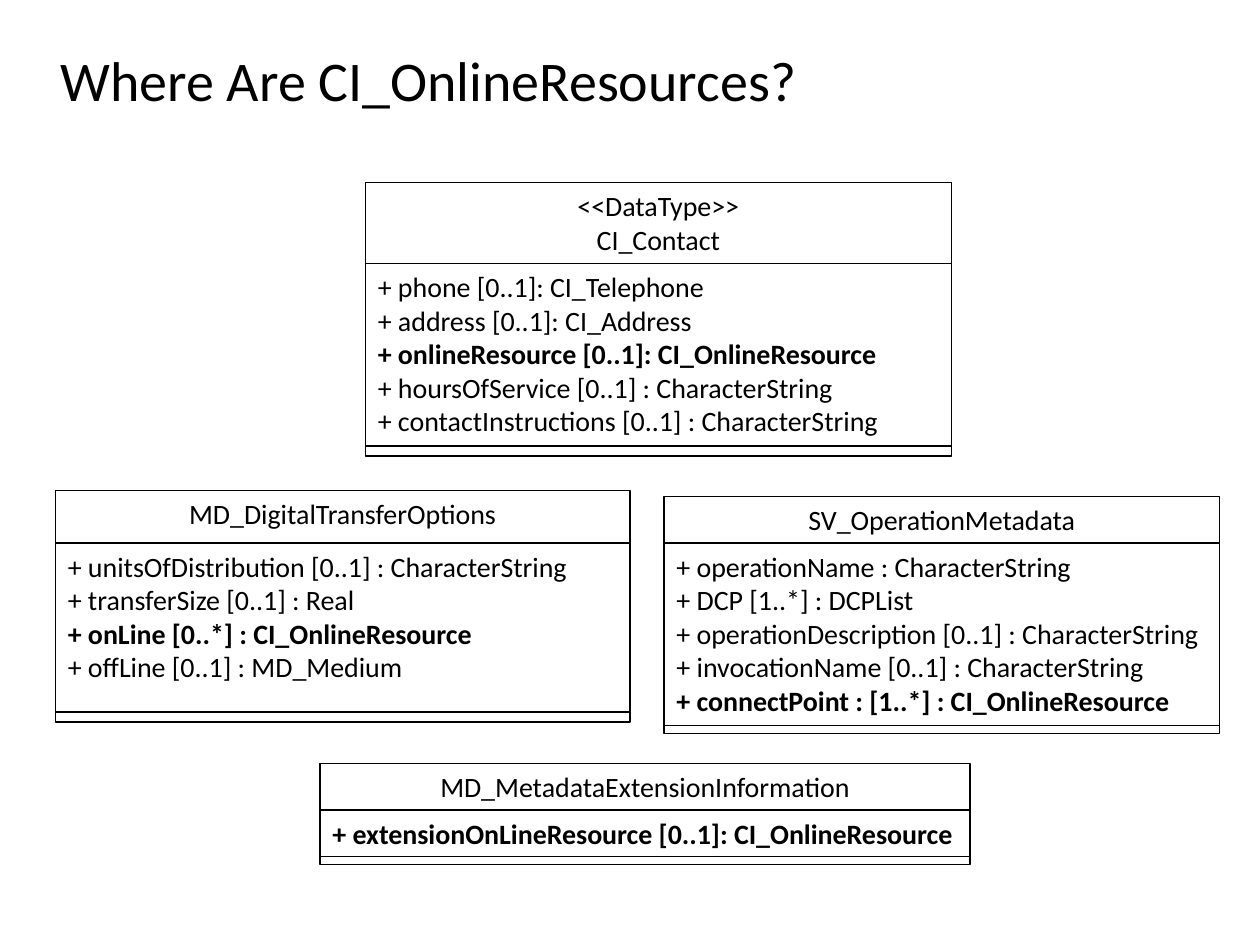
from pptx import Presentation
from pptx.dml.color import RGBColor
from pptx.enum.shapes import MSO_SHAPE
from pptx.enum.text import MSO_ANCHOR, PP_ALIGN
from pptx.util import Inches, Pt

FONT = "Calibri"
INK = "000000"
PAPER = "FFFFFF"

CLASSES = [
    {
        "box": (2.54, 6.06, 5.16),
        "heights": (0.37, 0.37, 0.06),
        "names": ["MD_MetadataExtensionInformation"],
        "attributes": ["+ extensionOnLineResource [0..1]: CI_OnlineResource"],
    },
    {
        "box": (2.9, 1.45, 4.65),
        "heights": (0.64, 1.45, 0.08),
        "names": ["<<DataType>>", "CI_Contact"],
        "attributes": [
            "+ phone [0..1]: CI_Telephone",
            "+ address [0..1]: CI_Address",
            "+ onlineResource [0..1]: CI_OnlineResource",
            "+ hoursOfService [0..1] : CharacterString",
            "+ contactInstructions [0..1] : CharacterString",
        ],
    },
    {
        "box": (5.27, 3.94, 4.41),
        "heights": (0.37, 1.45, 0.06),
        "names": ["SV_OperationMetadata"],
        "attributes": [
            "+ operationName : CharacterString",
            "+ DCP [1..*] : DCPList",
            "+ operationDescription [0..1] : CharacterString",
            "+ invocationName [0..1] : CharacterString",
            "+ connectPoint : [1..*] : CI_OnlineResource",
        ],
    },
    {
        "box": (0.44, 3.89, 4.56),
        "heights": (0.42, 1.34, 0.08),
        "names": ["MD_DigitalTransferOptions"],
        "attributes": [
            "+ unitsOfDistribution [0..1] : CharacterString",
            "+ transferSize [0..1] : Real",
            "+ onLine [0..*] : CI_OnlineResource",
            "+ offLine [0..1] : MD_Medium",
        ],
    },
]


def color(value):
    return RGBColor.from_string(value)


def write(shape, lines, size=16, align=PP_ALIGN.LEFT, anchor=MSO_ANCHOR.TOP, highlight=None):
    frame = shape.text_frame
    frame.word_wrap = True
    frame.vertical_anchor = anchor
    for index, line in enumerate(lines):
        paragraph = frame.add_paragraph() if index else frame.paragraphs[0]
        paragraph.alignment = align
        run = paragraph.add_run()
        run.text = line
        run.font.name = FONT
        run.font.size = Pt(size)
        run.font.bold = bool(highlight) and line.endswith(highlight)
        run.font.color.rgb = color(INK)


def add_compartment(group, left, top, width, height):
    shape = group.shapes.add_shape(
        MSO_SHAPE.RECTANGLE, Inches(left), Inches(top), Inches(width), Inches(height)
    )
    shape.shadow.inherit = False
    shape.fill.solid()
    shape.fill.fore_color.rgb = color(PAPER)
    shape.line.color.rgb = color(INK)
    shape.line.width = Pt(0.75)
    return shape


def add_class(slide, box, heights, names, attributes):
    left, top, width = box
    group = slide.shapes.add_group_shape()
    compartments = []
    for height in heights:
        compartments.append(add_compartment(group, left, top, width, height))
        top += height
    header, body, _ = compartments
    write(header, names, align=PP_ALIGN.CENTER)
    write(body, attributes, highlight="CI_OnlineResource")


def add_title(slide, text, left, top, width, height):
    title = slide.shapes.title
    title.left, title.top = Inches(left), Inches(top)
    title.width, title.height = Inches(width), Inches(height)
    write(title, [text], size=32, anchor=MSO_ANCHOR.MIDDLE)


def main():
    presentation = Presentation()
    presentation.slide_width = Inches(10)
    presentation.slide_height = Inches(7.5)
    slide = presentation.slides.add_slide(presentation.slide_layouts.get_by_name("Title Only"))
    add_title(slide, "Where Are CI_OnlineResources?", 0.38, 0.32, 9, 0.61)
    for uml_class in CLASSES:
        add_class(slide, **uml_class)
    presentation.save("out.pptx")


if __name__ == "__main__":
    main()
